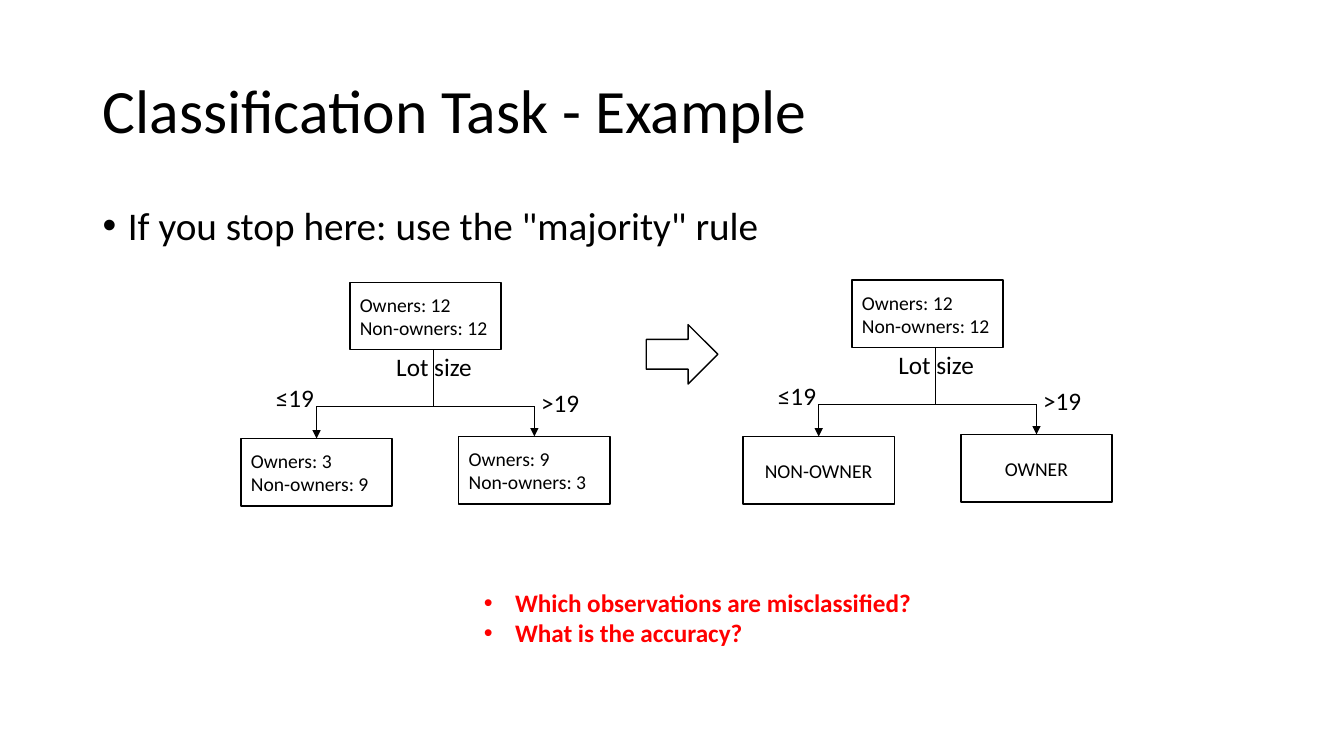
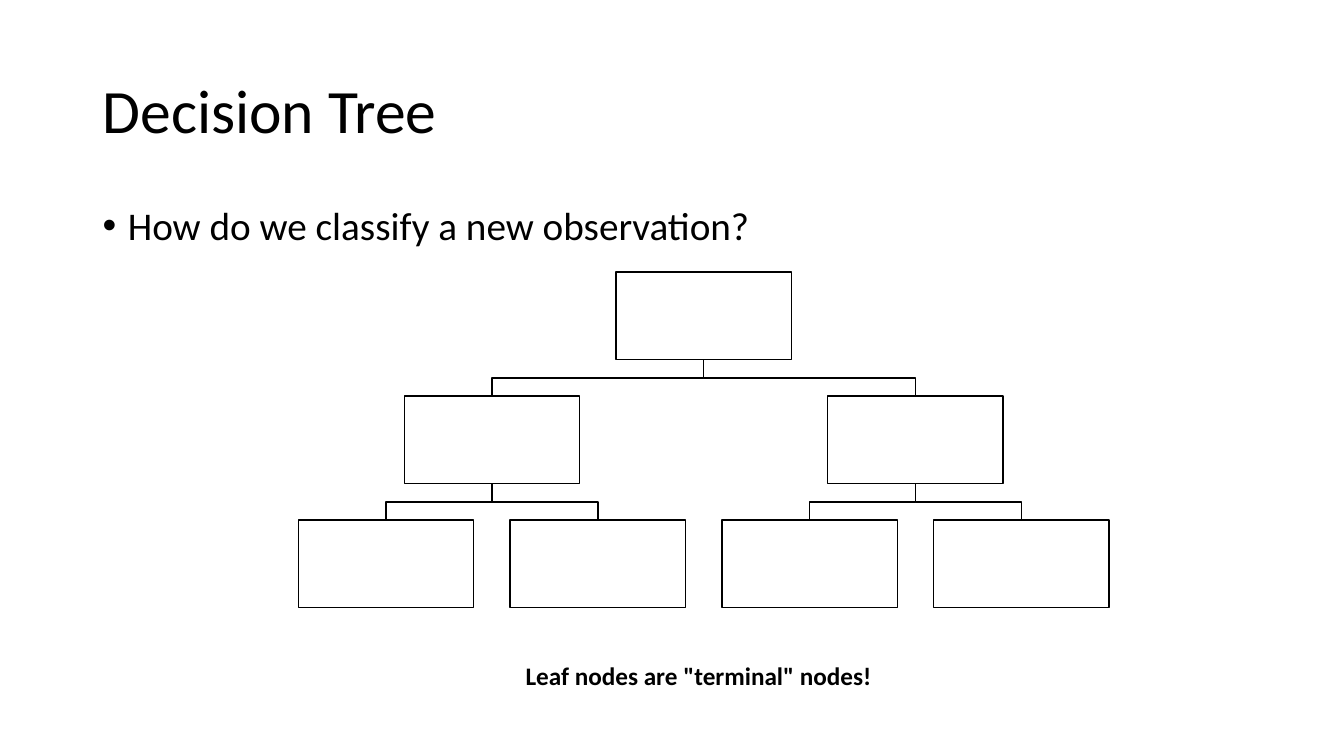
from lxml.etree import SubElement
from pptx import Presentation
from pptx.dml.color import RGBColor
from pptx.enum.shapes import MSO_CONNECTOR, MSO_SHAPE
from pptx.enum.text import MSO_ANCHOR, PP_ALIGN
from pptx.oxml.ns import qn
from pptx.util import Inches, Pt

BLACK = RGBColor(0, 0, 0)
WHITE = RGBColor(255, 255, 255)
RED = RGBColor(255, 0, 0)
FONT = "Calibri"

LEAF_W, LEAF_H = 1.5, 0.67
NODE_W, NODE_H = 1.74, 0.87
NODE_TOP, ROW_STEP, COL_STEP = 2.7, 1.23, 2.1


def write(shape, lines, size, color=BLACK, bold=False,
          align=PP_ALIGN.LEFT, anchor=MSO_ANCHOR.TOP):
    frame = shape.text_frame
    frame.word_wrap = True
    frame.vertical_anchor = anchor
    for i, line in enumerate(lines):
        para = frame.paragraphs[0] if i == 0 else frame.add_paragraph()
        para.alignment = align
        run = para.add_run()
        run.text = line
        font = run.font
        font.name, font.size, font.bold = FONT, Pt(size), bold
        font.color.rgb = color
    return frame.paragraphs


def add_text(shapes, box, lines, size, **style):
    shape = shapes.add_textbox(*map(Inches, box))
    return write(shape, lines, size, **style)


def set_bullet(para, indent, color):
    props = para._p.get_or_add_pPr()
    props.set("marL", str(Inches(indent)))
    props.set("indent", str(-Inches(indent)))
    tint = SubElement(props, qn("a:buClr"))
    SubElement(tint, qn("a:srgbClr"), val=str(color))
    SubElement(props, qn("a:buFont"), typeface="Arial")
    SubElement(props, qn("a:buChar"), char="•")


def outline(shape, fill=None):
    shape.shadow.inherit = False
    if fill is None:
        shape.fill.background()
    else:
        shape.fill.solid()
        shape.fill.fore_color.rgb = fill
    shape.line.color.rgb = BLACK
    shape.line.width = Pt(1)


def add_shape(shapes, kind, box, fill=None):
    shape = shapes.add_shape(kind, *map(Inches, box))
    outline(shape, fill)
    return shape


def add_line(shapes, start, end, target=None):
    """Draw a thin line, with an arrowhead if it leads to a target's top."""
    line = shapes.add_connector(
        MSO_CONNECTOR.STRAIGHT, *map(Inches, start + end))
    line.line.color.rgb = BLACK
    line.line.width = Pt(0.75)
    SubElement(line._element.spPr, qn("a:effectLst"))
    if target is not None:
        line.end_connect(target, 0)
        SubElement(line.line._get_or_add_ln(), qn("a:tailEnd"),
                   type="triangle")


def add_slide(deck, title, point):
    """Add a slide with its title and one bullet point."""
    slide = deck.slides.add_slide(deck.slide_layouts[6])
    head, = add_text(slide.shapes, (0.92, 0.4, 11.5, 1.45), [title], 44,
                     anchor=MSO_ANCHOR.MIDDLE)
    body, = add_text(slide.shapes, (0.92, 2, 11.5, 4.76), [point], 28)
    head.line_spacing = body.line_spacing = 0.9
    body.space_before = Pt(10)
    set_bullet(body, 0.25, BLACK)
    return slide.shapes


def add_split(shapes, left, top, leaves, align):
    """Draw a root that splits on lot size into two leaves."""
    group = shapes.add_group_shape().shapes

    def add_leaf(x, y, lines, side):
        box = add_shape(group, MSO_SHAPE.RECTANGLE,
                        (left + x, top + y, LEAF_W, LEAF_H))
        write(box, lines, 14, align=side, anchor=MSO_ANCHOR.MIDDLE)
        return box

    add_leaf(1.08, 0, ["Owners: 12", "Non-owners: 12"], PP_ALIGN.LEFT)
    bar, trunk = top + 1.23, left + 1.91
    ends = []
    for x, y, lines in zip((0, 2.16), (1.55, 1.53), leaves):
        leaf = add_leaf(x, y, lines, align)
        mid = left + x + LEAF_W / 2
        add_line(group, (mid, bar), (mid, top + y), leaf)
        ends.append((mid, bar))
    add_line(group, *ends)
    add_line(group, (trunk, top + LEAF_H), (trunk, bar))
    for x, y, label in ((1.25, 0.64, "Lot size"), (-0.13, 0.94, "≤19"),
                        (2.5, 0.99, ">19")):
        add_text(group, (left + x, top + y, 1.33, 0.4), [label], 18,
                 align=PP_ALIGN.CENTER)


def add_elbow(shapes, start, end):
    (x1, y1), (x2, y2) = start, end
    mid = (y1 + y2) / 2
    pen = shapes.build_freeform(Inches(x1), Inches(y1))
    pen.add_line_segments(
        [(Inches(x), Inches(y)) for x, y in ((x1, mid), (x2, mid), end)],
        close=False)
    outline(pen.convert_to_shape())


def add_tree(shapes, center, depth):
    """Draw a full binary tree of empty nodes, links first."""
    group = shapes.add_group_shape().shapes
    rows = [[center]]
    for level in range(1, depth):
        reach = COL_STEP * 2 ** (depth - level - 2)
        rows.append([x + side * reach for x in rows[-1] for side in (-1, 1)])
    tops = [NODE_TOP + i * ROW_STEP for i in range(depth)]
    for level in range(1, depth):
        for i, x in enumerate(rows[level]):
            add_elbow(group, (rows[level - 1][i // 2],
                              tops[level - 1] + NODE_H), (x, tops[level]))
    for row, top in zip(rows, tops):
        for x in row:
            add_shape(group, MSO_SHAPE.RECTANGLE,
                      (x - NODE_W / 2, top, NODE_W, NODE_H), WHITE)


def add_task(deck):
    shapes = add_slide(deck, "Classification Task - Example",
                       'If you stop here: use the "majority" rule')
    add_split(shapes, 2.39, 2.8, (["Owners: 3", "Non-owners: 9"],
                                  ["Owners: 9", "Non-owners: 3"]),
              PP_ALIGN.LEFT)
    add_split(shapes, 7.37, 2.78, (["NON-OWNER"], ["OWNER"]),
              PP_ALIGN.CENTER)
    add_shape(shapes, MSO_SHAPE.RIGHT_ARROW, (6.41, 3.22, 0.71, 0.59))
    asks = add_text(shapes, (4.7, 5.78, 4.47, 0.7),
                    ["Which observations are misclassified?",
                     "What is the accuracy?"], 18, color=RED, bold=True)
    for para in asks:
        set_bullet(para, 0.31, RED)


def add_nodes(deck):
    shapes = add_slide(deck, "Decision Tree",
                       "How do we classify a new observation?")
    add_tree(shapes, 6.98, 3)
    add_text(shapes, (5.08, 6.5, 3.7, 0.4),
             ['Leaf nodes are "terminal" nodes!'], 18, bold=True,
             align=PP_ALIGN.CENTER)


def main():
    deck = Presentation()
    deck.slide_width, deck.slide_height = Inches(13.33), Inches(7.5)
    add_task(deck)
    add_nodes(deck)
    deck.save("out.pptx")


if __name__ == "__main__":
    main()
